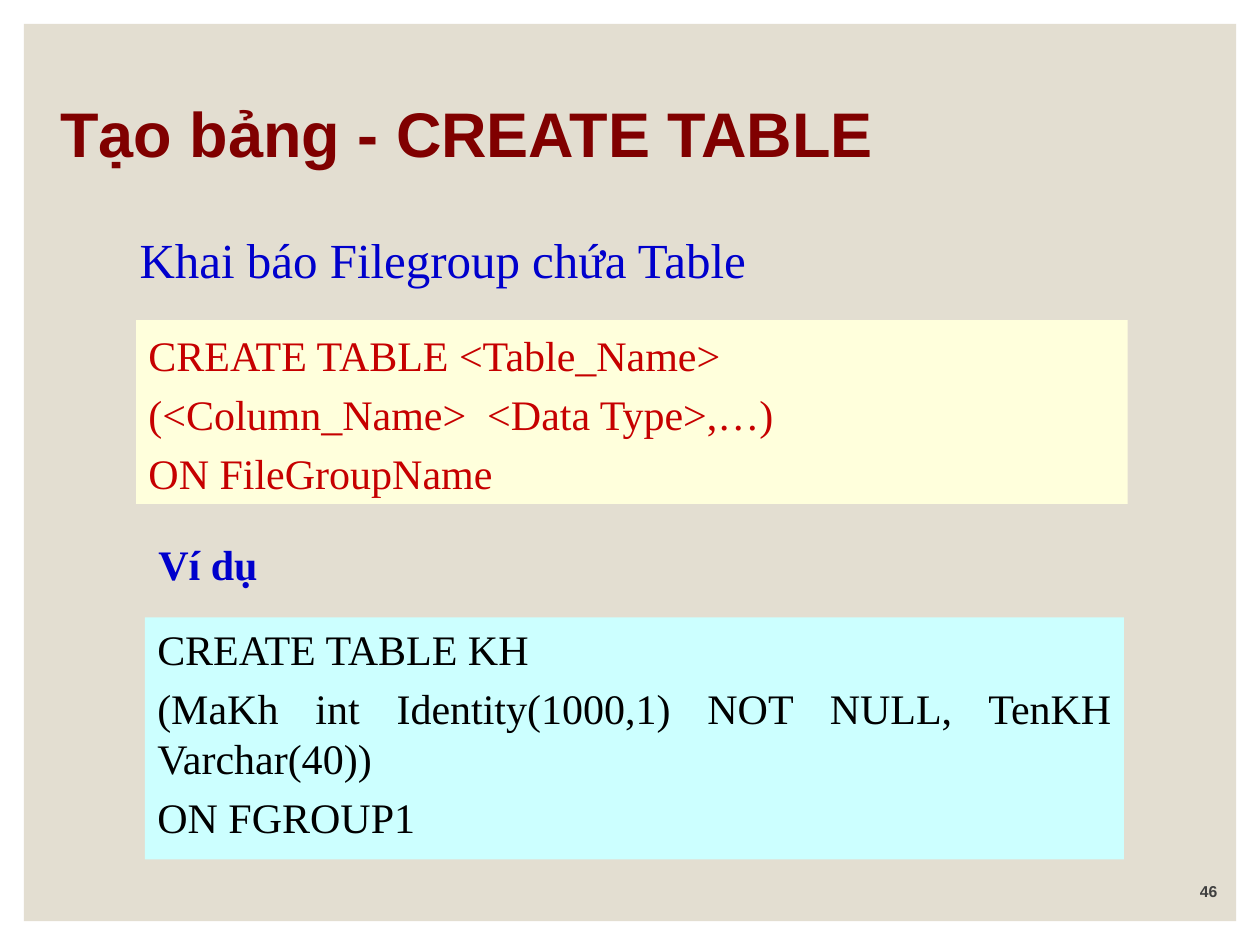
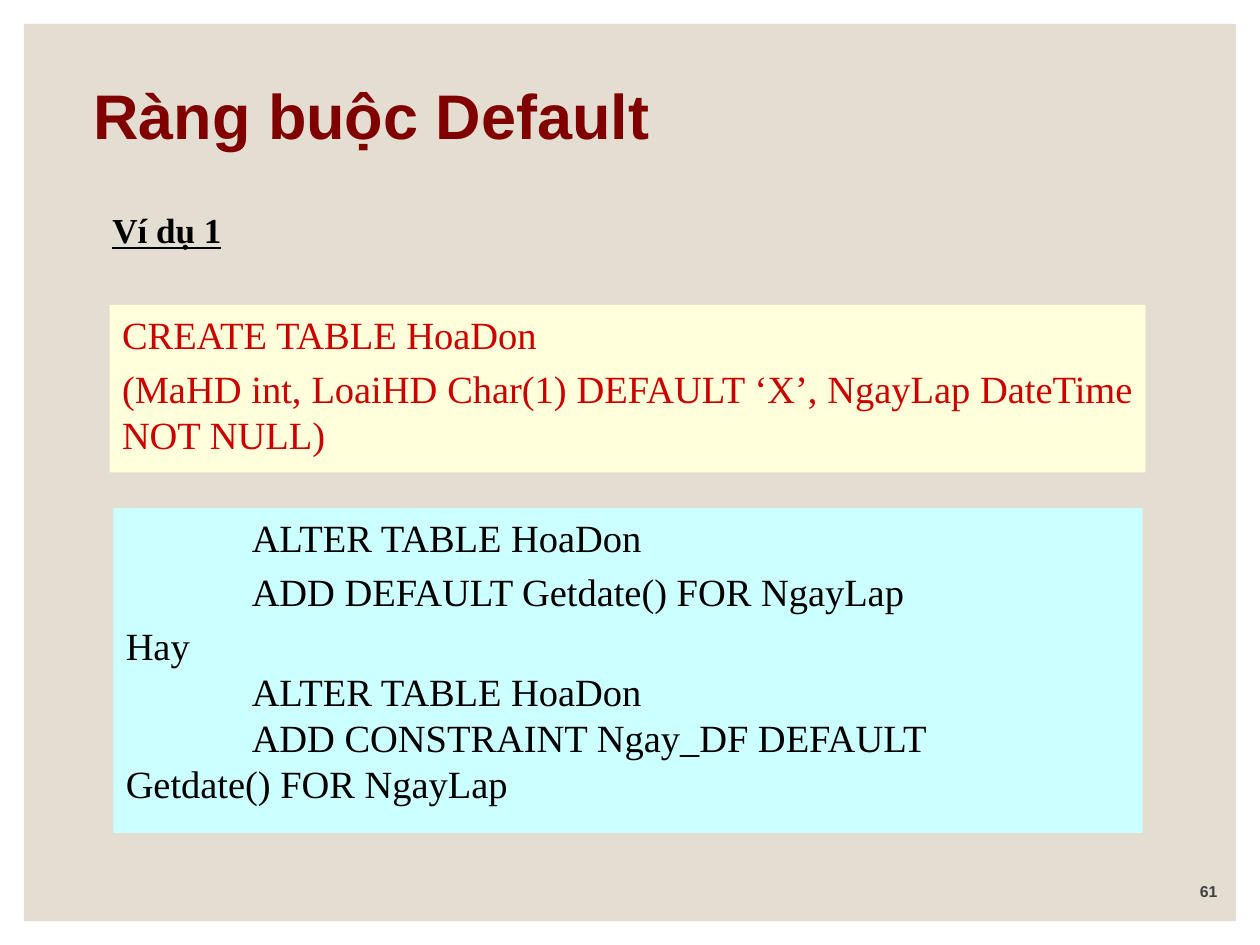
from pptx import Presentation
from pptx import util as u
from pptx.dml.color import RGBColor
from pptx.enum import shapes, text

PX = u.Inches(1) // 100
TAB = 100 * PX
SANS, SERIF = "Arial", "Times New Roman"
SAND, CREAM, AQUA = "E3DED1", "FFFFDC", "CCFFFF"
MAROON, BLUE, BLACK, GREY = "800000", "0000CC", "000000", "404040"
LEFT, CENTER = text.PP_ALIGN.LEFT, text.PP_ALIGN.CENTER
RIGHT, JUSTIFY = text.PP_ALIGN.RIGHT, text.PP_ALIGN.JUSTIFY
TOP, BOTTOM = text.MSO_ANCHOR.TOP, text.MSO_ANCHOR.BOTTOM


def color(value):
    return RGBColor.from_string(value)


def write(shape, lines, size, ink, font=SERIF, align=LEFT, anchor=BOTTOM,
          wrap=True, bold=False, underline=False, gap=0.2):
    frame = shape.text_frame
    frame.word_wrap = wrap
    frame.auto_size = text.MSO_AUTO_SIZE.NONE
    frame.vertical_anchor = anchor
    for index, line in enumerate(lines):
        line, line_align, line_gap = line if isinstance(line, tuple) else (line, align, gap)
        paragraph = frame.paragraphs[0] if index == 0 else frame.add_paragraph()
        paragraph.alignment = line_align
        paragraph.space_before = u.Pt(size * line_gap)
        paragraph._p.get_or_add_pPr().set("defTabSz", str(TAB))
        run = paragraph.add_run()
        run.text = line
        run.font.name = font
        run.font.size = u.Pt(size)
        run.font.bold = bold
        run.font.underline = underline
        run.font.color.rgb = color(ink)


pages = [
    {
        "title": ("Tạo bảng - CREATE TABLE", (38, 60, 852, 80)),
        "number": "46",
        "headings": [
            ("Ví dụ", (114, 422, 102, 50), dict(size=24, ink=BLUE, bold=True)),
            ("Khai báo Filegroup chứa Table", (98, 177, 507, 57), dict(size=28, ink=BLUE)),
        ],
        "code": [
            ((115, 490, 777, 192), AQUA, dict(size=24, ink=BLACK, align=JUSTIFY, anchor=TOP), [
                "CREATE TABLE KH",
                "(MaKh int Identity(1000,1) NOT NULL, TenKH Varchar(40))",
                "ON FGROUP1",
            ]),
            ((108, 254, 787, 146), CREAM, dict(size=24, ink="C60000"), [
                "CREATE TABLE <Table_Name>",
                "(<Column_Name>  <Data Type>,…)",
                "ON FileGroupName",
            ]),
        ],
    },
    {
        "title": ("Ràng buộc Default", (64, 58, 852, 68)),
        "number": "61",
        "headings": [
            ("Ví dụ 1", (78, 161, 109, 43), dict(size=20, ink=BLACK, bold=True, underline=True)),
        ],
        "code": [
            ((87, 242, 822, 133), CREAM, dict(size=22, ink="CC0000", align=JUSTIFY, anchor=TOP), [
                "CREATE TABLE HoaDon",
                "(MaHD int, LoaiHD Char(1) DEFAULT ‘X’, NgayLap DateTime NOT NULL)",
            ]),
            ((90, 403, 817, 258), AQUA, dict(size=22, ink=BLACK, align=JUSTIFY, anchor=TOP), [
                "\tALTER TABLE HoaDon",
                "\tADD DEFAULT Getdate() FOR NgayLap",
                "Hay",
                ("\tALTER TABLE HoaDon", LEFT, 0),
                ("\tADD CONSTRAINT Ngay_DF DEFAULT \tGetdate() FOR NgayLap", LEFT, 0),
            ]),
        ],
    },
]

deck = Presentation()
deck.slide_width, deck.slide_height = 1000 * PX, 750 * PX
title_only = deck.slide_layouts[5]

for page in pages:
    slide = deck.slides.add_slide(title_only)

    backdrop = slide.shapes.add_shape(
        shapes.MSO_SHAPE.RECTANGLE, 19 * PX, 19 * PX, 962 * PX, 712 * PX)
    backdrop.shadow.inherit = False
    backdrop.fill.solid()
    backdrop.fill.fore_color.rgb = color(SAND)
    backdrop.line.fill.background()
    slide.shapes._spTree.insert(2, backdrop._element)

    wording, place = page["title"]
    title = slide.shapes.title
    title.left, title.top, title.width, title.height = [n * PX for n in place]
    write(title, [wording], 36, MAROON, font=SANS, bold=True, gap=0)

    for wording, place, style in page["headings"]:
        heading = slide.shapes.add_textbox(*[n * PX for n in place])
        write(heading, [wording], align=CENTER, wrap=False, **style)

    for place, fill, style, lines in page["code"]:
        panel = slide.shapes.add_shape(
            shapes.MSO_SHAPE.RECTANGLE, *[n * PX for n in place])
        panel.shadow.inherit = False
        panel.fill.solid()
        panel.fill.fore_color.rgb = color(fill)
        panel.line.fill.background()
        write(panel, lines, **style)

    number = slide.shapes.add_textbox(856 * PX, 690 * PX, 120 * PX, 30 * PX)
    write(number, [page["number"]], 9, GREY, font=SANS, align=RIGHT, bold=True, gap=0)

deck.save("out.pptx")
